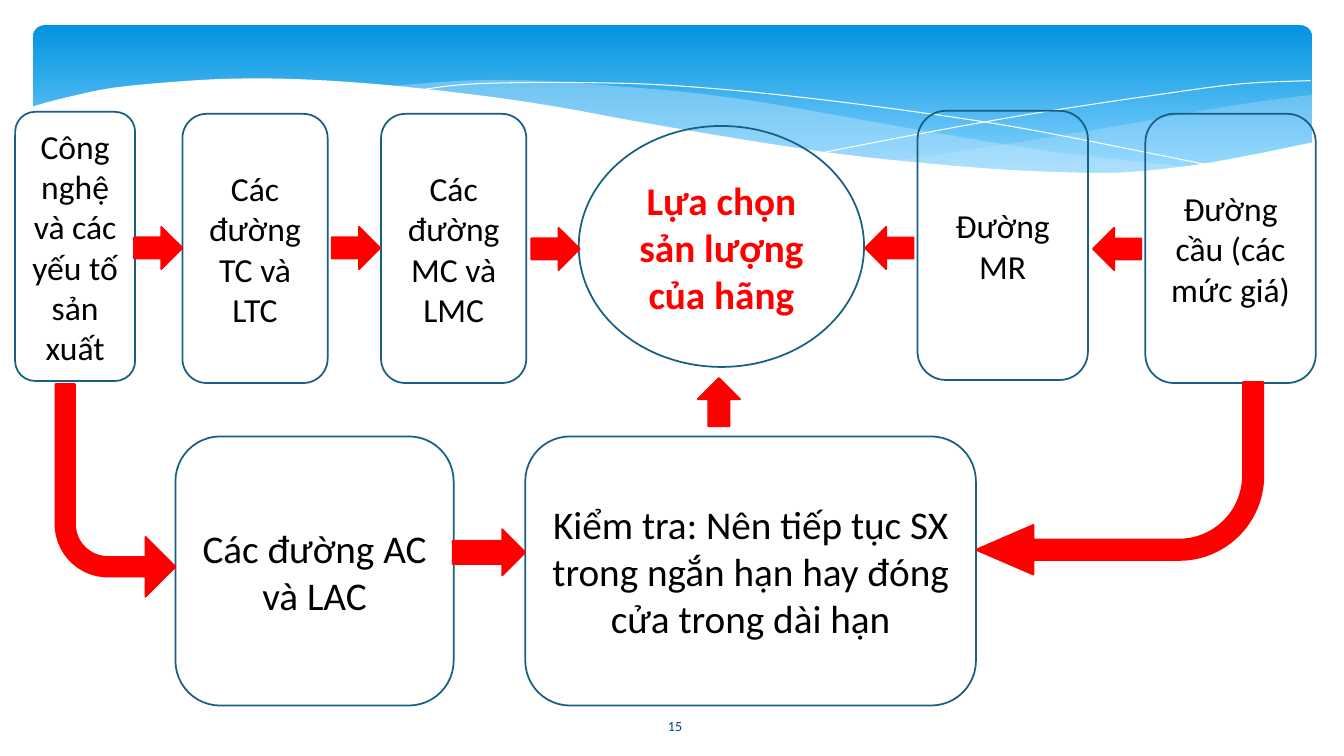
import pptx
import pptx.dml.color
import pptx.enum.shapes
import pptx.enum.text
import pptx.oxml.ns
import pptx.util
from lxml import etree

Inches = pptx.util.Inches
RGBColor = pptx.dml.color.RGBColor
SHAPE = pptx.enum.shapes.MSO_SHAPE

WHITE = RGBColor(0xFF, 0xFF, 0xFF)
BLACK = RGBColor(0x00, 0x00, 0x00)
RED = RGBColor(0xFF, 0x00, 0x00)
OUTLINE = RGBColor(0x19, 0x5F, 0x84)
NUMBER_BLUE = RGBColor(0x07, 0x3E, 0x87)
BAND_TOP = RGBColor(0x02, 0x93, 0xE0)
BAND_BOTTOM = RGBColor(0x83, 0xD3, 0xFE)
PALE_BLUE = RGBColor(0xC6, 0xE7, 0xFC)
FONT = "Calibri"

# Key points of the header waves, in inches from the band's corner
RIGHT_WAVE_TOP = [(12.68, 0.69), (11.94, 0.79), (11.14, 0.93), (10.4, 1.06),
                  (9.39, 1.22), (8.49, 1.35)]
RIGHT_WAVE_BOTTOM = [(8.49, 1.35), (9.25, 1.42), (9.92, 1.46), (10.52, 1.47),
                     (11.05, 1.45), (11.63, 1.4), (12.14, 1.31), (12.68, 1.17)]
MIDDLE_WAVE_TOP = [(11.57, 1.42), (10.83, 1.34), (10.01, 1.24), (9.08, 1.09),
                   (8.06, 0.91), (7.26, 0.77), (6.53, 0.67), (5.86, 0.61),
                   (4.99, 0.55), (4.26, 0.55), (3.49, 0.61)]
MIDDLE_WAVE_BOTTOM = [(3.49, 0.61), (4.23, 0.69), (5.06, 0.81), (5.66, 0.91),
                      (6.73, 1.1), (7.69, 1.25), (8.54, 1.36), (9.3, 1.43),
                      (9.97, 1.46), (10.57, 1.48), (11.1, 1.46), (11.57, 1.42)]
FALLING_LINE = [(3.79, 0.65), (4.25, 0.59), (4.83, 0.57), (5.44, 0.57),
                (6.19, 0.59), (7.09, 0.66), (8.15, 0.78), (9.37, 0.95),
                (10.27, 1.11), (11.77, 1.41)]
RISING_LINE = [(7.85, 1.26), (8.94, 1.05), (10.02, 0.86), (11.22, 0.68),
               (11.99, 0.58), (12.67, 0.55)]
WHITE_WAVE = [(12.7, 1.16), (12.07, 1.29), (11.5, 1.39), (10.83, 1.46),
              (10.25, 1.46), (9.59, 1.43), (8.85, 1.37), (8.01, 1.28),
              (7.07, 1.14), (6.01, 0.96), (5.25, 0.82), (4.53, 0.71),
              (3.57, 0.6), (2.73, 0.54), (2.02, 0.53), (1.43, 0.56),
              (0.8, 0.62), (0.36, 0.71), (0.05, 0.79), (-0.02, 0.82)]
WHITE_BASE = [(-0.02, 1.99), (12.7, 1.99)]


def smooth_curve(points, steps=4):
    """Run a Catmull-Rom spline through the key points."""
    padded = [points[0], *points, points[-1]]
    curve = []
    for a, b, c, d in zip(padded, padded[1:], padded[2:], padded[3:]):
        for step in range(steps):
            t = step / steps
            curve.append(tuple(
                (2 * q + (r - p) * t + (2 * p - 5 * q + 4 * r - s) * t ** 2
                 + (3 * q - p - 3 * r + s) * t ** 3) / 2
                for p, q, r, s in zip(a, b, c, d)))
    return curve + [points[-1]]


def add_outline(slide, left, top, points, fill=None, opacity=100):
    """Draw a closed filled area, or an open white hairline without a fill."""
    corners = [(Inches(left + x), Inches(top + y)) for x, y in points]
    builder = slide.shapes.build_freeform(*corners[0], scale=1.0)
    builder.add_line_segments(corners[1:], close=fill is not None)
    shape = builder.convert_to_shape()
    shape.shadow.inherit = False
    if fill is None:
        shape.fill.background()
        shape.line.color.rgb = WHITE
        shape.line.width = pptx.util.Pt(0)
        return
    shape.fill.solid()
    shape.fill.fore_color.rgb = fill
    shape.line.fill.background()
    if opacity < 100:
        color = shape.fill._xPr.find(".//" + pptx.oxml.ns.qn("a:srgbClr"))
        alpha = etree.SubElement(color, pptx.oxml.ns.qn("a:alpha"))
        alpha.set("val", str(opacity * 1000))


def add_header(slide, left, top, width, height):
    # Gradient band
    band = slide.shapes.add_shape(SHAPE.ROUNDED_RECTANGLE, Inches(left), Inches(top),
                                  Inches(width), Inches(height))
    band.adjustments[0] = 0.071
    band.shadow.inherit = False
    band.line.fill.background()
    band.fill.gradient()
    band.fill.gradient_angle = 270
    for stop, position, color in zip(band.fill.gradient_stops, (0, 0.9),
                                     (BAND_TOP, BAND_BOTTOM)):
        stop.position = position
        stop.color.rgb = color
    # Waves over the band
    add_outline(slide, left, top, smooth_curve(RIGHT_WAVE_TOP)
                + smooth_curve(RIGHT_WAVE_BOTTOM), PALE_BLUE, 29)
    add_outline(slide, left, top, smooth_curve(MIDDLE_WAVE_TOP)
                + smooth_curve(MIDDLE_WAVE_BOTTOM), PALE_BLUE, 40)
    for line in (FALLING_LINE, RISING_LINE):
        add_outline(slide, left, top, smooth_curve(line))
    add_outline(slide, left, top, smooth_curve(WHITE_WAVE) + WHITE_BASE, WHITE)


def write_text(shape, text, size, color, bold=False):
    frame = shape.text_frame
    frame.word_wrap = True
    frame.vertical_anchor = pptx.enum.text.MSO_ANCHOR.MIDDLE
    paragraph = frame.paragraphs[0]
    paragraph.alignment = pptx.enum.text.PP_ALIGN.CENTER
    run = paragraph.add_run()
    run.text = text
    run.font.name = FONT
    run.font.size = pptx.util.Pt(size)
    run.font.bold = bold
    run.font.color.rgb = color


def add_step(slide, kind, left, top, width, height, line_color):
    shape = slide.shapes.add_shape(kind, Inches(left), Inches(top),
                                   Inches(width), Inches(height))
    shape.shadow.inherit = False
    shape.fill.background()
    shape.line.color.rgb = line_color
    shape.line.width = pptx.util.Pt(1.25)
    return shape


def add_arrow(slide, kind, left, top, width, height, rotation=0, adjustments=()):
    arrow = add_step(slide, kind, left, top, width, height, RED)
    arrow.fill.solid()
    arrow.fill.fore_color.rgb = RED
    arrow.rotation = rotation
    for index, value in enumerate(adjustments):
        arrow.adjustments[index] = value
    return arrow


def add_flow(slide, left, top):
    # Steps: left, top, width, height, text size, text
    box_height = 2.67
    steps = [
        (0, 0.01, 1.19, 24, "Công nghệ và các yếu tố sản xuất"),
        (1.66, 0.03, 1.44, 24, "Các đường TC và LTC"),
        (3.63, 0.03, 1.44, 24, "Các đường MC và LMC"),
        (8.95, 0, 1.69, 24, "Đường MR"),
        (11.21, 0.03, 1.69, 24, "Đường cầu (các mức giá)"),
        (1.59, 3.23, 2.76, 28, "Các đường AC và LAC"),
        (5.06, 3.23, 4.47, 28,
         "Kiểm tra: Nên tiếp tục SX trong ngắn hạn hay đóng cửa trong dài hạn"),
    ]
    for x, y, width, size, text in steps:
        step = add_step(slide, SHAPE.ROUNDED_RECTANGLE, left + x, top + y,
                        width, box_height, OUTLINE)
        write_text(step, text, size, BLACK)
    decision = add_step(slide, SHAPE.OVAL, left + 5.59, top + 0.15, 2.83, 2.39, OUTLINE)
    write_text(decision, "Lựa chọn sản lượng của hãng", 28, RED, bold=True)

    # Short arrows: left, top, rotation
    for x, y, rotation in [(1.18, 1.15, 0), (3.14, 1.15, 0), (5.12, 1.16, 0),
                           (8.43, 1.15, 180), (10.69, 1.16, 180), (6.74, 2.68, 270)]:
        add_arrow(slide, SHAPE.RIGHT_ARROW, left + x, top + y, 0.48, 0.42, rotation)
    add_arrow(slide, SHAPE.RIGHT_ARROW, left + 4.34, top + 4.15, 0.72, 0.46)

    # Bent arrows from the outer steps down to the lower row
    bent_left = add_arrow(slide, SHAPE.BENT_ARROW, left + 0.4, top + 2.71, 1.19, 2.11,
                          180, (0.162, 0.25, 0.25, 0.438))
    bent_left._element.spPr.find(pptx.oxml.ns.qn("a:xfrm")).set("flipH", "1")
    add_arrow(slide, SHAPE.BENT_ARROW, left + 9.53, top + 2.69, 2.85, 1.91,
              180, (0.106, 0.129, 0.298, 0.438))


def add_slide_number(slide, left, top, width, height):
    number = slide.shapes.add_textbox(Inches(left), Inches(top),
                                      Inches(width), Inches(height))
    write_text(number, "15", 10, NUMBER_BLUE)


def main():
    presentation = pptx.Presentation()
    presentation.slide_width = Inches(13.33)
    presentation.slide_height = Inches(7.5)
    slide = presentation.slides.add_slide(presentation.slide_layouts[6])
    add_header(slide, 0.33, 0.25, 12.68, 1.56)
    add_slide_number(slide, 5.85, 7, 1.69, 0.4)
    add_flow(slide, 0.15, 1.1)
    presentation.save("out.pptx")


if __name__ == "__main__":
    main()
